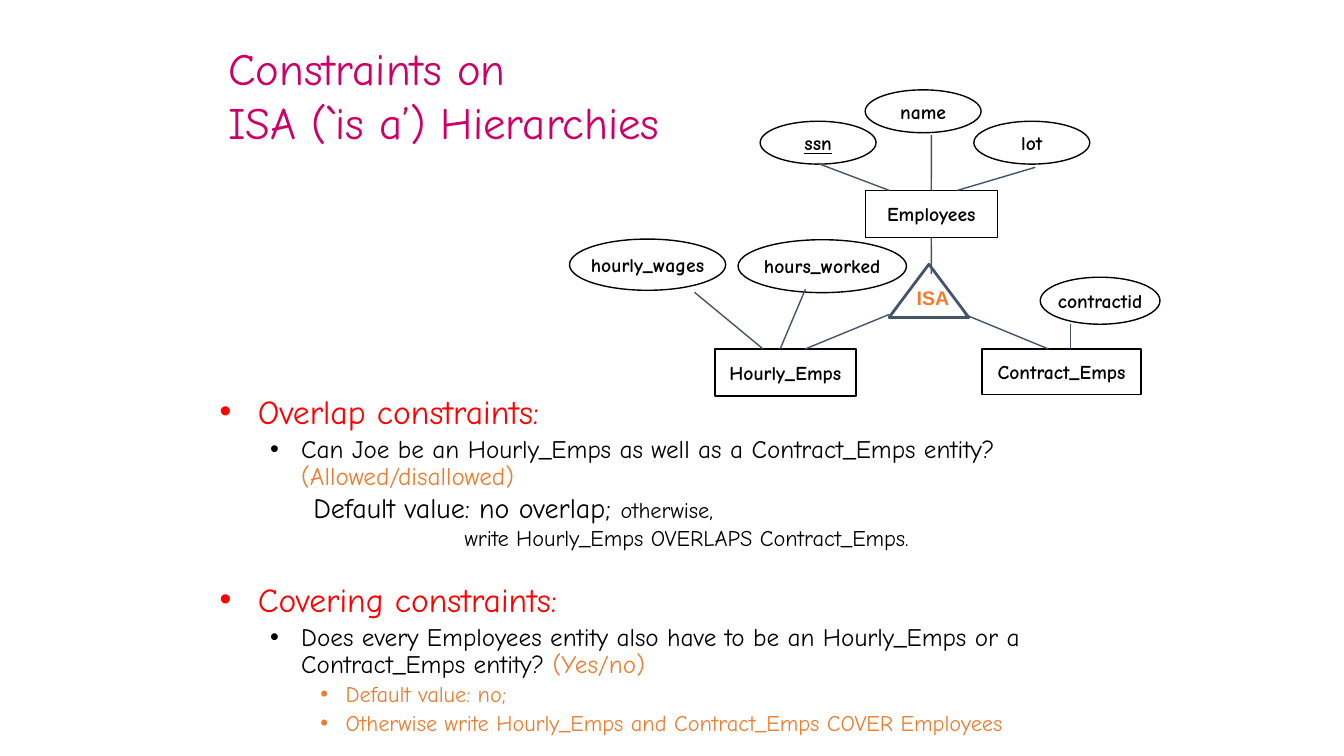
from dataclasses import dataclass

from lxml.etree import SubElement
from pptx import Presentation
from pptx.dml.color import RGBColor
from pptx.enum.shapes import MSO_CONNECTOR as Connector, MSO_SHAPE as Shape
from pptx.enum.text import MSO_ANCHOR as Anchor, PP_ALIGN as Align
from pptx.oxml.ns import qn
from pptx.util import Emu, Inches, Pt

COLUMNS, ROWS = 80, 45
BLACK, RED, ORANGE = "000000", "FF0000", "ED7D31"
MAGENTA, SLATE = "CC0066", "44546A"
HAND, SANS = "Comic Neue", "Arial"
TOP, BOTTOM = 0, 2

deck = Presentation()
deck.slide_width, deck.slide_height = Inches(13.33), Inches(7.5)
slide = deck.slides.add_slide(deck.slide_layouts[6])


@dataclass
class Node:
    label: str
    outline: Shape
    left: float
    top: float
    width: float
    height: float
    underline: bool = False


@dataclass
class Link:
    x1: float
    y1: float
    x2: float
    y2: float
    start: str = ""
    end: str = ""


@dataclass
class Level:
    margin: float
    hanging: float
    size: float


@dataclass
class Point:
    level: Level
    phrases: list[tuple[str, str]]
    gap: float = 0


def col(count: float) -> Emu:
    return Emu(round(deck.slide_width * count / COLUMNS))


def row(count: float) -> Emu:
    return Emu(round(deck.slide_height * count / ROWS))


def rgb(value: str) -> RGBColor:
    return RGBColor.from_string(value)


def write(paragraph, text: str, *, size: float, color: str = BLACK,
          font: str = HAND, bold: bool = False, underline: bool = False) -> None:
    run = paragraph.add_run()
    run.text = text
    run.font.size = Pt(size)
    run.font.name = font
    run.font.bold = bold
    run.font.underline = underline
    run.font.color.rgb = rgb(color)


def text_area(left: float, top: float, width: float, height: float,
              anchor: Anchor = Anchor.TOP):
    frame = slide.shapes.add_textbox(col(left), row(top), col(width), row(height)).text_frame
    frame.word_wrap = True
    frame.vertical_anchor = anchor
    return frame


def next_paragraph(frame, index: int):
    return frame.add_paragraph() if index else frame.paragraphs[0]


def draw_node(node: Node):
    shape = slide.shapes.add_shape(node.outline, col(node.left), row(node.top),
                                   col(node.width), row(node.height))
    is_isa = node.outline == Shape.ISOSCELES_TRIANGLE
    shape.shadow.inherit = False
    shape.fill.background()
    shape.line.color.rgb = rgb(SLATE if is_isa else BLACK)
    shape.line.width = Pt(2 if is_isa else 1)
    frame = shape.text_frame
    frame.word_wrap = False
    frame.vertical_anchor = Anchor.MIDDLE
    frame.margin_left = col(0.5 if is_isa else 0)
    frame.margin_bottom = row(0.8 if is_isa else 0)
    frame.margin_right = frame.margin_top = 0
    frame.paragraphs[0].alignment = Align.CENTER
    write(frame.paragraphs[0], node.label, size=14, bold=True, underline=node.underline,
          color=ORANGE if is_isa else BLACK, font=SANS if is_isa else HAND)
    return shape


def draw_link(link: Link, shapes: dict) -> None:
    line = slide.shapes.add_connector(Connector.STRAIGHT, col(link.x1), row(link.y1),
                                      col(link.x2), row(link.y2))
    if link.start:
        line.begin_connect(shapes[link.start], BOTTOM)
    if link.end:
        line.end_connect(shapes[link.end], TOP)
    line.line.color.rgb = rgb(SLATE)
    line.line.width = Pt(1)
    SubElement(line._element.spPr, qn("a:effectLst"))


def draw_points(points: list[Point]) -> None:
    frame = text_area(12.48, 23.22, 58.26, 21.6)
    for index, point in enumerate(points):
        level = point.level
        paragraph = next_paragraph(frame, index)
        paragraph.line_spacing = 0.9
        paragraph.space_before = Pt(point.gap or level.size * 0.2)
        properties = paragraph._p.get_or_add_pPr()
        properties.set("marL", str(Inches(level.margin)))
        properties.set("indent", str(-Inches(level.hanging)))
        SubElement(properties, qn("a:buFont")).set("typeface", SANS)
        SubElement(properties, qn("a:buChar")).set("char", "•")
        for text, color in point.phrases:
            write(paragraph, text, size=level.size, color=color)


NODES = [
    Node("name", Shape.OVAL, 51.5, 5.35, 6.9, 2.55),
    Node("ssn", Shape.OVAL, 45.25, 7.22, 6.9, 2.55, underline=True),
    Node("lot", Shape.OVAL, 57.97, 7.22, 6.9, 2.55),
    Node("Employees", Shape.RECTANGLE, 51.5, 11.33, 7.87, 2.8),
    Node("hourly_wages", Shape.OVAL, 33.9, 14.23, 9.3, 3.05),
    Node("hours_worked", Shape.OVAL, 43.93, 14.27, 10.03, 3.15),
    Node("contractid", Shape.OVAL, 61.92, 16.5, 7.13, 2.8),
    Node("ISA", Shape.ISOSCELES_TRIANGLE, 52.92, 15.73, 4.75, 3.17),
    Node("Hourly_Emps", Shape.RECTANGLE, 42.55, 20.77, 8.4, 2.8),
    Node("Contract_Emps", Shape.RECTANGLE, 58.45, 20.77, 9.48, 2.7),
]
LINKS = [
    Link(48.66, 9.72, 52.92, 11.33),
    Link(55.44, 8.04, 55.44, 11.33, end="Employees"),
    Link(61.62, 9.96, 57, 11.33),
    Link(55.44, 14.13, 55.44, 16.32, start="Employees"),
    Link(41.34, 17.4, 45.42, 20.77),
    Link(47.94, 17.22, 46.44, 20.77),
    Link(52.92, 18.72, 47.94, 20.77),
    Link(57.42, 18.72, 62.4, 20.77),
    Link(63.72, 19.26, 63.72, 20.77),
]
TOPIC, QUESTION, ANSWER = Level(0.38, 0.38, 24), Level(0.81, 0.31, 18), Level(1.25, 0.25, 16)
POINTS = [
    Point(TOPIC, [("Overlap constraints:", RED)]),
    Point(QUESTION, [("Can Joe be an Hourly_Emps as well as a Contract_Emps entity? ", BLACK),
                     ("(Allowed/disallowed)", ORANGE)]),
    Point(TOPIC, [("Covering constraints:", RED)], gap=66),
    Point(QUESTION, [("Does every Employees entity also have to be an Hourly_Emps or a "
                      "Contract_Emps entity?", BLACK), (" (Yes/no)", ORANGE)]),
    Point(ANSWER, [("Default value: no;", ORANGE)]),
    Point(ANSWER, [("Otherwise write Hourly_Emps and Contract_Emps COVER Employees", ORANGE)]),
]


def main() -> None:
    heading = text_area(13, 2, 32, 7.25, Anchor.MIDDLE)
    for index, text in enumerate(["Constraints on", "ISA (`is a’) Hierarchies"]):
        write(next_paragraph(heading, index), text, size=32, color=MAGENTA)

    shapes = {node.label: draw_node(node) for node in NODES}
    for link in LINKS:
        draw_link(link, shapes)

    draw_points(POINTS)

    overlap_default = text_area(18.06, 28.92, 40, 4.25)
    write(overlap_default.paragraphs[0], "Default value: no overlap; ", size=20)
    write(overlap_default.paragraphs[0], "otherwise,", size=16)
    syntax = overlap_default.add_paragraph()
    syntax._p.get_or_add_pPr().set("marL", str(Inches(1.5)))
    write(syntax, "write Hourly_Emps OVERLAPS Contract_Emps.", size=16)

    deck.save("out.pptx")


if __name__ == "__main__":
    main()
